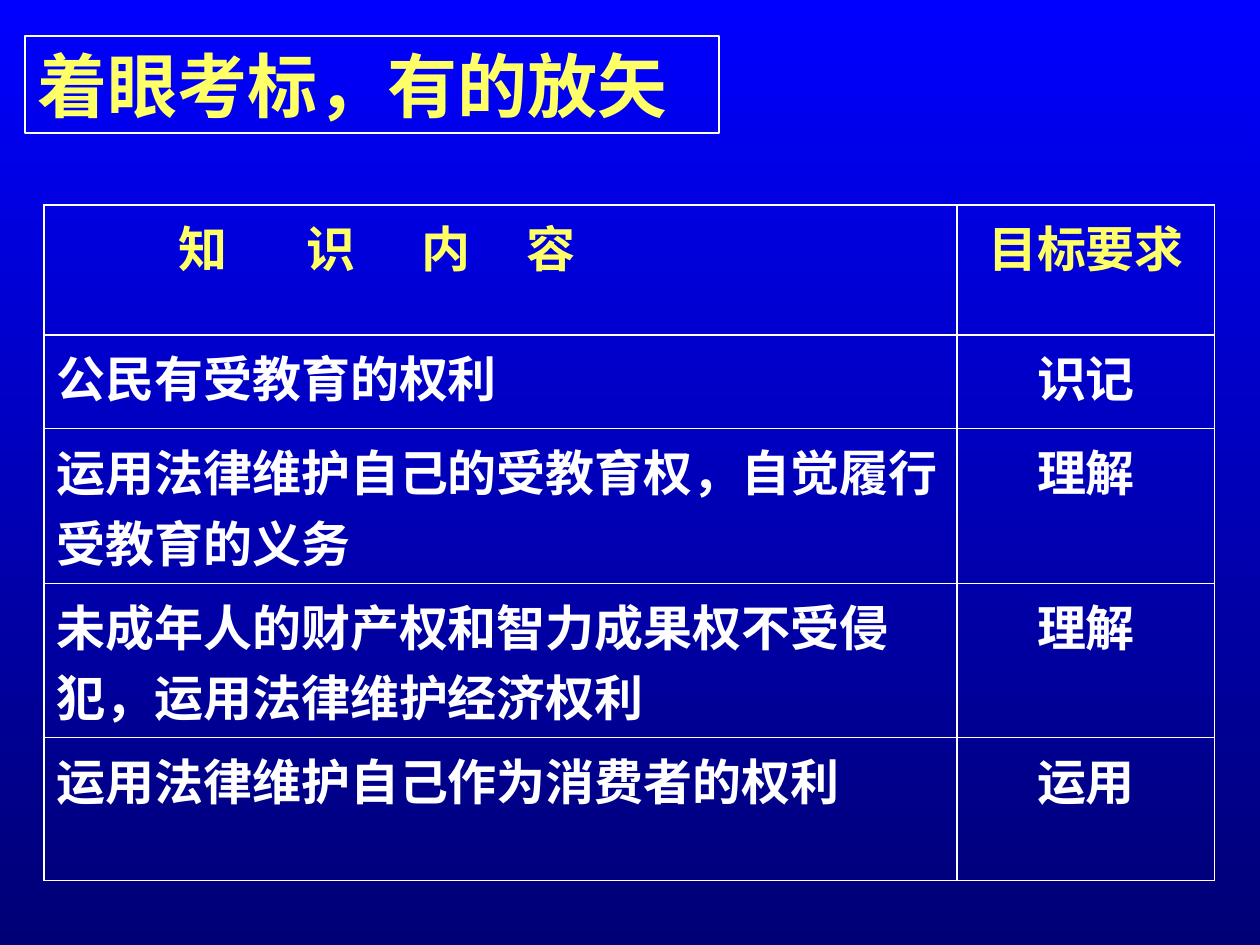
from lxml.etree import SubElement
from pptx import Presentation
from pptx.dml.color import RGBColor
from pptx.enum.text import MSO_ANCHOR, MSO_AUTO_SIZE, PP_ALIGN
from pptx.oxml.ns import qn
from pptx.util import Pt

PX = 914400 // 126
YELLOW, WHITE = "FFFF66", "FFFFFF"


def rgb(color):
    return RGBColor.from_string(color)


def add_text(paragraph, text, size, color):
    run = paragraph.add_run()
    run.text = text
    run.font.name = "Arial"
    run.font.size = Pt(size)
    run.font.bold = True
    run.font.color.rgb = rgb(color)


prs = Presentation()
prs.slide_width, prs.slide_height = 1260 * PX, 945 * PX
slide = prs.slides.add_slide(prs.slide_layouts[5])

backdrop = slide.background.fill
backdrop.gradient()
backdrop.gradient_angle = 270
for stop, color in zip(backdrop.gradient_stops, ("0000FF", "000075")):
    stop.color.rgb = rgb(color)

heading = slide.shapes.title
heading.left, heading.top = 25 * PX, 36 * PX
heading.width, heading.height = 694 * PX, 97 * PX
heading.line.color.rgb = rgb(WHITE)
heading.line.width = Pt(0.75)
heading_frame = heading.text_frame
heading_frame.auto_size = MSO_AUTO_SIZE.NONE
heading_frame.word_wrap = True
heading_frame.vertical_anchor = MSO_ANCHOR.TOP
heading_frame.paragraphs[0].alignment = PP_ALIGN.LEFT
add_text(heading_frame.paragraphs[0], "着眼考标，有的放矢", 40, YELLOW)

goals = [
    ("\t知\t识\t内\t容", "目标要求"),
    ("公民有受教育的权利", "识记"),
    ("运用法律维护自己的受教育权，自觉履行受教育的义务", "理解"),
    ("未成年人的财产权和智力成果权不受侵犯，运用法律维护经济权利", "理解"),
    ("运用法律维护自己作为消费者的权利", "运用"),
]
col_widths = [913, 258]
row_heights = [130, 94, 154, 154, 143]
header_tabs = [122, 250, 365, 470]

goal_table = slide.shapes.add_table(
    len(goals), 2, 44 * PX, 205 * PX, sum(col_widths) * PX, sum(row_heights) * PX
).table
for column, width in zip(goal_table.columns, col_widths):
    column.width = width * PX
for row, height in zip(goal_table.rows, row_heights):
    row.height = height * PX

for r, goal in enumerate(goals):
    for c, text in enumerate(goal):
        cell = goal_table.cell(r, c)
        props = cell._tc.get_or_add_tcPr()
        for side in ("a:lnL", "a:lnR", "a:lnT", "a:lnB"):
            border = SubElement(props, qn(side), w=str(Pt(0.75)))
            SubElement(SubElement(border, qn("a:solidFill")), qn("a:srgbClr"), val=WHITE)
        cell.fill.background()
        paragraph = cell.text_frame.paragraphs[0]
        paragraph.alignment = PP_ALIGN.CENTER if c else PP_ALIGN.LEFT
        paragraph_props = paragraph._p.get_or_add_pPr()
        paragraph_props.set("hangingPunct", "0")
        if "\t" in text:
            tabs = SubElement(paragraph_props, qn("a:tabLst"))
            for position in header_tabs:
                SubElement(tabs, qn("a:tab"), pos=str(position * PX), algn="l")
        add_text(paragraph, text, 28, WHITE if r else YELLOW)

prs.save("out.pptx")
